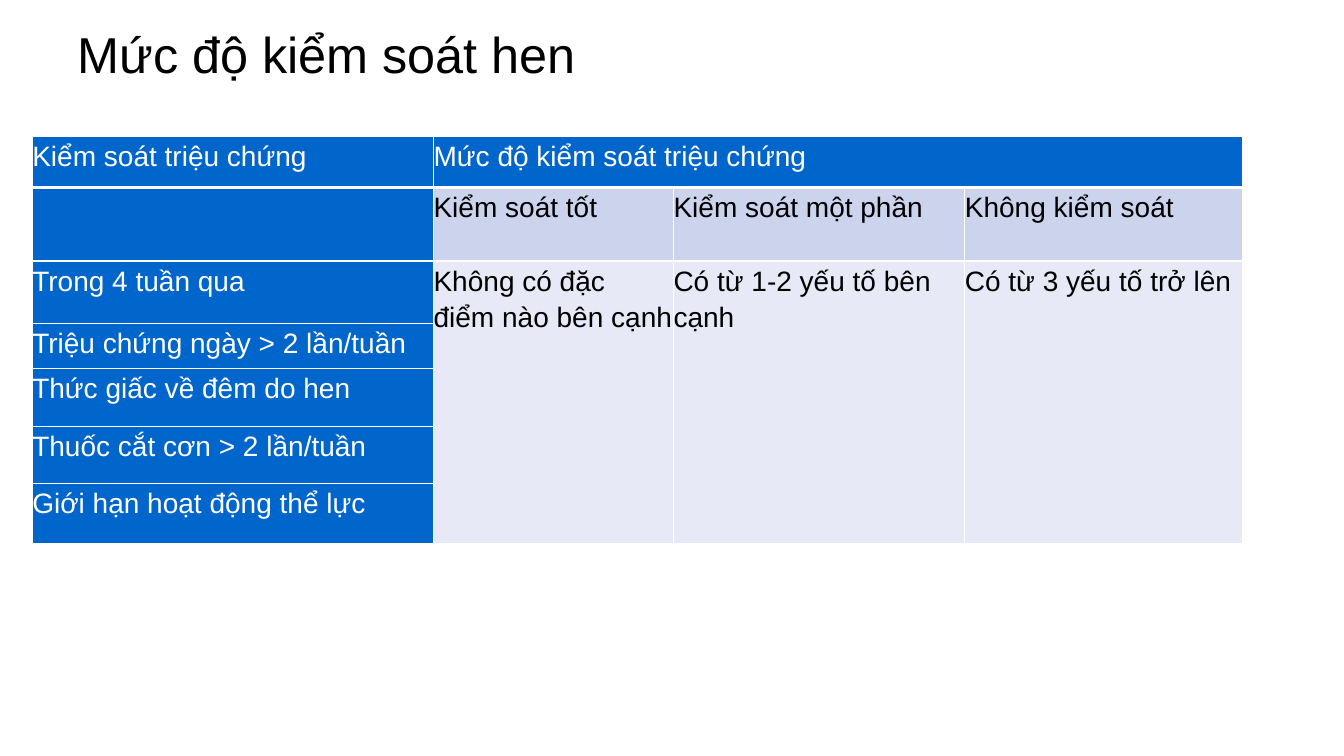
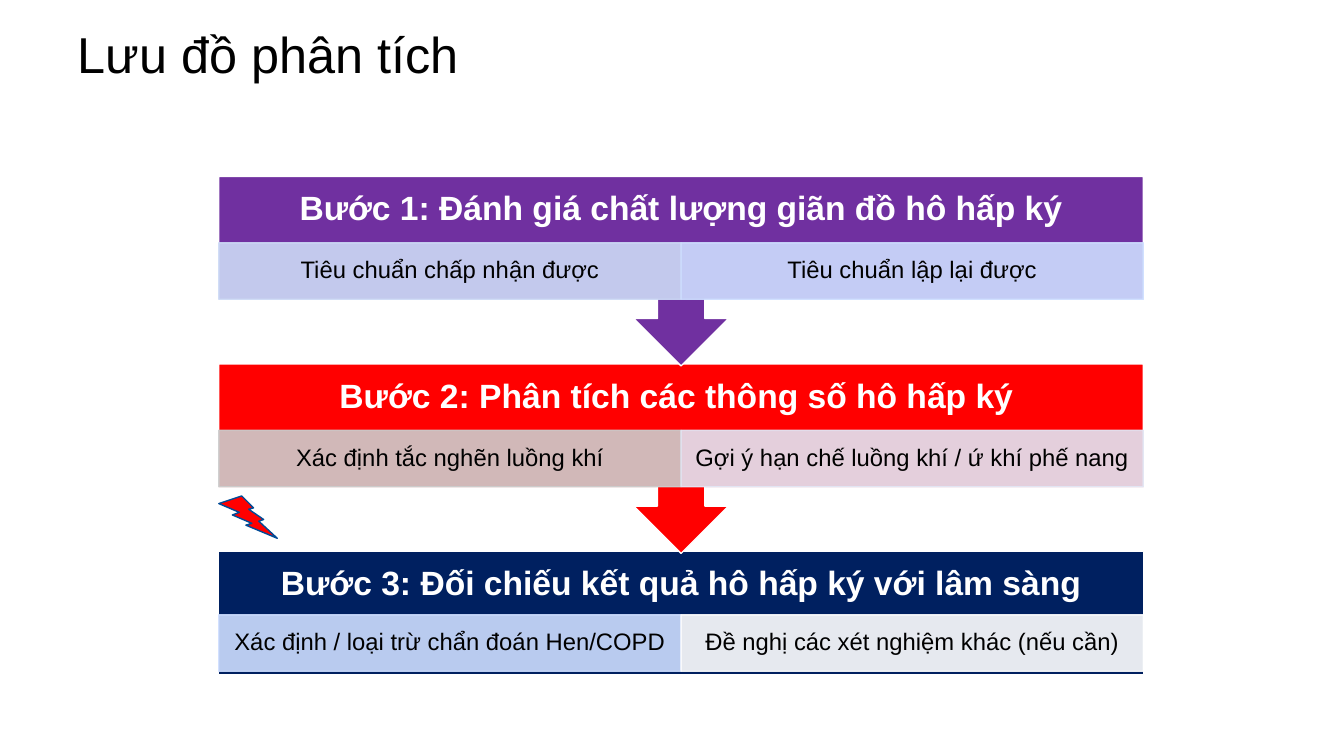
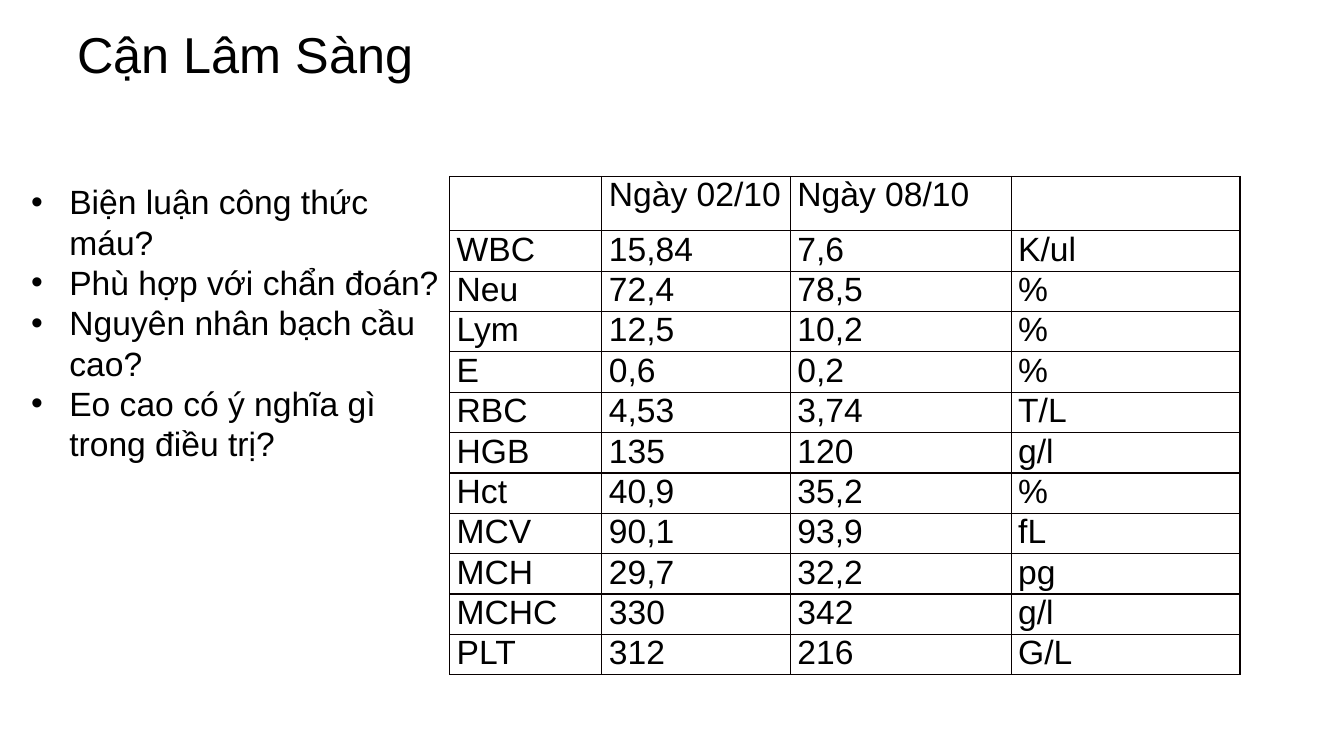
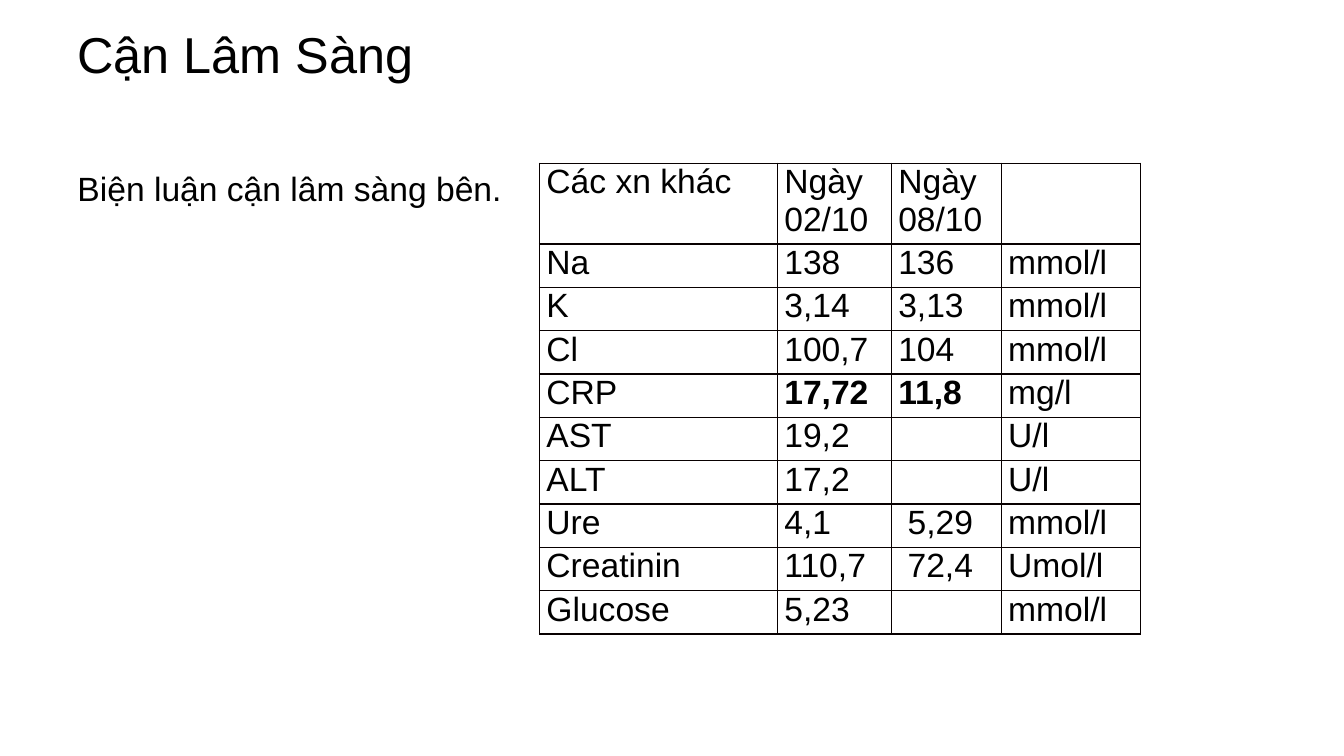
from dataclasses import dataclass

from pptx import Presentation
from pptx.dml.color import RGBColor
from pptx.enum.shapes import MSO_SHAPE
from pptx.enum.text import MSO_ANCHOR, PP_ALIGN
from pptx.oxml.ns import qn
from pptx.util import Inches, Pt
from lxml import etree

RECT = MSO_SHAPE.RECTANGLE
CALLOUT = MSO_SHAPE.UP_ARROW_CALLOUT
BOLT = MSO_SHAPE.LIGHTNING_BOLT
TOP, MIDDLE = MSO_ANCHOR.TOP, MSO_ANCHOR.MIDDLE
LEFT, CENTER = PP_ALIGN.LEFT, PP_ALIGN.CENTER


@dataclass(frozen=True)
class Theme:
    font: str = "Arial"
    title: int = 36
    body: int = 24
    level: int = 20
    detail: int = 17
    black: str = "000000"
    white: str = "FFFFFF"
    grid: str = "080000"
    blue: str = "0066CC"
    band: str = "CCD3EC"
    pale: str = "E7EAF6"
    red: str = "FF0000"
    purple: str = "7030A0"
    navy: str = "002060"
    bolt_edge: str = "004B97"


T = Theme()

# Content: control levels
CONTROL_TITLE = "Mức độ kiểm soát hen"
CONTROL_COLS = (3.98, 2.38, 2.89, 2.75)
CONTROL_ROWS = (0.51, 0.73, 0.62, 0.45, 0.57, 0.57, 0.59)
CONTROL = [
    ("Kiểm soát triệu chứng", "Mức độ kiểm soát triệu chứng", "", ""),
    ("", "Kiểm soát tốt", "Kiểm soát một phần", "Không kiểm soát"),
    ("Trong 4 tuần qua", "Không có đặc điểm nào bên cạnh",
     "Có từ 1-2 yếu tố bên cạnh", "Có từ 3 yếu tố trở lên"),
    ("Triệu chứng ngày > 2 lần/tuần", "", "", ""),
    ("Thức giấc về đêm do hen", "", "", ""),
    ("Thuốc cắt cơn > 2 lần/tuần", "", "", ""),
    ("Giới hạn hoạt động thể lực", "", "", ""),
]
CONTROL_MERGES = [(0, 1, 0, 3)] + [(2, col, 6, col) for col in (1, 2, 3)]

# Content: analysis steps (heading, colour, heading height, details)
FLOW_TITLE = "Lưu đồ phân tích"
STEPS = [
    ("Bước 1: Đánh giá chất lượng giãn đồ hô hấp ký", T.purple, 0.66,
     [("Tiêu chuẩn chấp nhận được", "CDDAF6"),
      ("Tiêu chuẩn lập lại được", "CEDEFF")]),
    ("Bước 2: Phân tích các thông số hô hấp ký ", T.red, 0.66,
     [("Xác định tắc nghẽn luồng khí", "CCCCCC"),
      ("Gợi ý hạn chế luồng khí / ứ khí phế nang", "E2E6F4")]),
    ("Bước 3: Đối chiếu kết quả hô hấp ký với lâm sàng", T.navy, 0.63,
     [("Xác định / loại trừ chẩn đoán Hen/COPD", "CEDEFF"),
      ("Đề nghị các xét nghiệm khác (nếu cần)", T.white)]),
]

# Content: laboratory results
LAB_TITLE = "Cận Lâm Sàng"
BLOOD_QUESTIONS = [
    "Biện luận công thức máu?",
    "Phù hợp với chẩn đoán?",
    "Nguyên nhân bạch cầu cao?",
    "Eo cao có ý nghĩa gì trong điều trị?",
]
BLOOD_COLS = (1.51, 1.87, 2.19, 2.27)
BLOOD = [
    ("", "Ngày 02/10", "Ngày 08/10", ""),
    ("WBC", "15,84", "7,6", "K/ul"),
    ("Neu", "72,4", "78,5", "%"),
    ("Lym", "12,5", "10,2", "%"),
    ("E", "0,6", "0,2", "%"),
    ("RBC", "4,53", "3,74", "T/L"),
    ("HGB", "135", "120", "g/l"),
    ("Hct", "40,9", "35,2", "%"),
    ("MCV", "90,1", "93,9", "fL"),
    ("MCH", "29,7", "32,2", "pg"),
    ("MCHC", "330", "342", "g/l"),
    ("PLT", "312", "216", "G/L"),
]
OTHER_TASK = "Biện luận cận lâm sàng bên."
OTHER_COLS = (2.36, 1.13, 1.09, 1.38)
OTHER = [
    ("Các xn khác", "Ngày 02/10", "Ngày 08/10", ""),
    ("Na", "138", "136", "mmol/l"),
    ("K", "3,14", "3,13", "mmol/l"),
    ("Cl", "100,7", "104", "mmol/l"),
    ("CRP", "17,72", "11,8", "mg/l"),
    ("AST", "19,2", "", "U/l"),
    ("ALT", "17,2", "", "U/l"),
    ("Ure", "4,1", " 5,29", "mmol/l"),
    ("Creatinin", "110,7", " 72,4", "Umol/l"),
    ("Glucose", "5,23", "", "mmol/l"),
]
ABNORMAL = {"17,72", "11,8"}


# Helpers
def rgb(color):
    return RGBColor.from_string(color)


def write(frame, text, size=T.body, color=T.black, bold=False, align=LEFT,
          spacing=None, bullet_indent=0):
    """Write a string, or a list of paragraphs, into a text frame."""
    lines = [text] if isinstance(text, str) else text
    for i, line in enumerate(lines):
        para = frame.paragraphs[0] if i == 0 else frame.add_paragraph()
        para.alignment = align
        if spacing:
            para.line_spacing = spacing
        if bullet_indent:
            props = para._p.get_or_add_pPr()
            props.set("marL", str(Inches(bullet_indent)))
            props.set("indent", str(-Inches(bullet_indent)))
            etree.SubElement(props, qn("a:buFont")).set("typeface", T.font)
            etree.SubElement(props, qn("a:buChar")).set("char", "•")
        para.font.size = Pt(size)
        if line:
            run = para.add_run()
            run.text = line
            run.font.name, run.font.size = T.font, Pt(size)
            run.font.bold = bold
            run.font.color.rgb = rgb(color)


def add_text(slide, box, text, anchor=TOP, wrap=True, **fmt):
    frame = slide.shapes.add_textbox(*map(Inches, box)).text_frame
    frame.word_wrap = wrap
    frame.vertical_anchor = anchor
    write(frame, text, **fmt)


def add_block(slide, kind, box, fill, line, opacity=100):
    block = slide.shapes.add_shape(kind, *map(Inches, box))
    block.shadow.inherit = False
    block.fill.solid()
    block.fill.fore_color.rgb = rgb(fill)
    block.line.color.rgb = rgb(line)
    block.line.width = Pt(1)
    if opacity < 100:
        for clr in block._element.spPr.iter(qn("a:srgbClr")):
            etree.SubElement(clr, qn("a:alpha")).set("val", str(opacity * 1000))
    return block


def set_borders(cell, color, bottom=1):
    props = cell._tc.get_or_add_tcPr()
    for i, (side, width) in enumerate(
            (("lnL", 1), ("lnR", 1), ("lnT", 1), ("lnB", bottom))):
        edge = etree.Element(qn("a:" + side), w=str(Pt(width)))
        fill = etree.SubElement(edge, qn("a:solidFill"))
        etree.SubElement(fill, qn("a:srgbClr")).set("val", color)
        props.insert(i, edge)


def add_grid(slide, left, top, cols, rows, values, style, inset=0, merges=()):
    """Add a table; style(row, col, text) gives fill, border and text format."""
    table = slide.shapes.add_table(
        len(rows), len(cols), *map(Inches, (left, top, sum(cols), sum(rows)))).table
    table.first_row = table.horz_banding = False
    for col, width in zip(table.columns, cols):
        col.width = Inches(width)
    for row, height in zip(table.rows, rows):
        row.height = Inches(height)
    for r, row in enumerate(values):
        for c, text in enumerate(row):
            cell = table.cell(r, c)
            cell.margin_left = cell.margin_right = Inches(inset)
            cell.margin_top = cell.margin_bottom = 0
            fill, border, fmt = style(r, c, text)
            if fill:
                cell.fill.solid()
                cell.fill.fore_color.rgb = rgb(fill)
            else:
                cell.fill.background()
            set_borders(cell, **border)
            write(cell.text_frame, text, **fmt)
    for r1, c1, r2, c2 in merges:
        table.cell(r1, c1).merge(table.cell(r2, c2))


def control_style(row, col, text):
    head = row == 0 or col == 0
    fill = T.blue if head else T.band if row == 1 else T.pale
    border = {"color": T.white, "bottom": 3 if row == 0 else 1}
    return fill, border, {"size": T.level, "spacing": 1.15,
                          "color": T.white if head else T.black}


def lab_style(row, col, text):
    return None, {"color": T.grid}, {"bold": text in ABNORMAL}


def add_slide(prs, title):
    slide = prs.slides.add_slide(prs.slide_layouts[6])
    add_text(slide, (0.67, 0.21, 12, 0.64), title, anchor=MIDDLE, size=T.title)
    return slide


# Slides
def control_slide(prs):
    slide = add_slide(prs, CONTROL_TITLE)
    add_grid(slide, 0.32, 1.35, CONTROL_COLS, CONTROL_ROWS, CONTROL,
             control_style, merges=CONTROL_MERGES)


def flow_slide(prs):
    slide = add_slide(prs, FLOW_TITLE)
    left, top, width, pitch = 2.17, 1.75, 9.17, 1.86
    half, detail_height = width / 2, 0.56
    last = len(STEPS) - 1
    # Later steps lie behind, so each arrow tip overlaps the next heading
    for i, (heading, color, head_height, details) in reversed(list(enumerate(STEPS))):
        y = top + i * pitch
        kind, height = (RECT, 1.22) if i == last else (CALLOUT, 1.88)
        step = add_block(slide, kind, (left, y, width, height), color, T.white)
        step.rotation = 0 if i == last else 180
        add_text(slide, (left, y, width, 0.66), heading, anchor=MIDDLE,
                 color=T.white, bold=True, align=CENTER, spacing=0.9)
        for j, (detail, tint) in enumerate(details):
            box = (left + j * half, y + head_height, half, detail_height)
            part = add_block(slide, RECT, box, tint, tint, opacity=90)
            frame = part.text_frame
            frame.word_wrap = True
            frame.vertical_anchor = MIDDLE
            frame.margin_left = frame.margin_right = Inches(0.13)
            frame.margin_top = frame.margin_bottom = Inches(0.02)
            write(frame, detail, size=T.detail, align=CENTER, spacing=0.9)
    add_block(slide, BOLT, (left, 4.92, 0.58, 0.42), T.red, T.bolt_edge)


def blood_slide(prs):
    slide = add_slide(prs, LAB_TITLE)
    rows = [0.54] + [0.4] * (len(BLOOD) - 1)
    add_grid(slide, 4.46, 1.75, BLOOD_COLS, rows, BLOOD, lab_style, inset=0.07)
    add_text(slide, (0.21, 1.75, 4.34, 2.93), BLOOD_QUESTIONS, bullet_indent=0.38)


def other_slide(prs):
    slide = add_slide(prs, LAB_TITLE)
    rows = [0.74] + [0.43] * (len(OTHER) - 1)
    add_grid(slide, 5.35, 1.62, OTHER_COLS, rows, OTHER, lab_style, inset=0.07)
    add_text(slide, (0.67, 1.62, 4.45, 0.5), OTHER_TASK, wrap=False)


def main():
    prs = Presentation()
    prs.slide_width, prs.slide_height = Inches(13.33), Inches(7.5)
    for build in (control_slide, flow_slide, blood_slide, other_slide):
        build(prs)
    prs.save("out.pptx")


if __name__ == "__main__":
    main()
